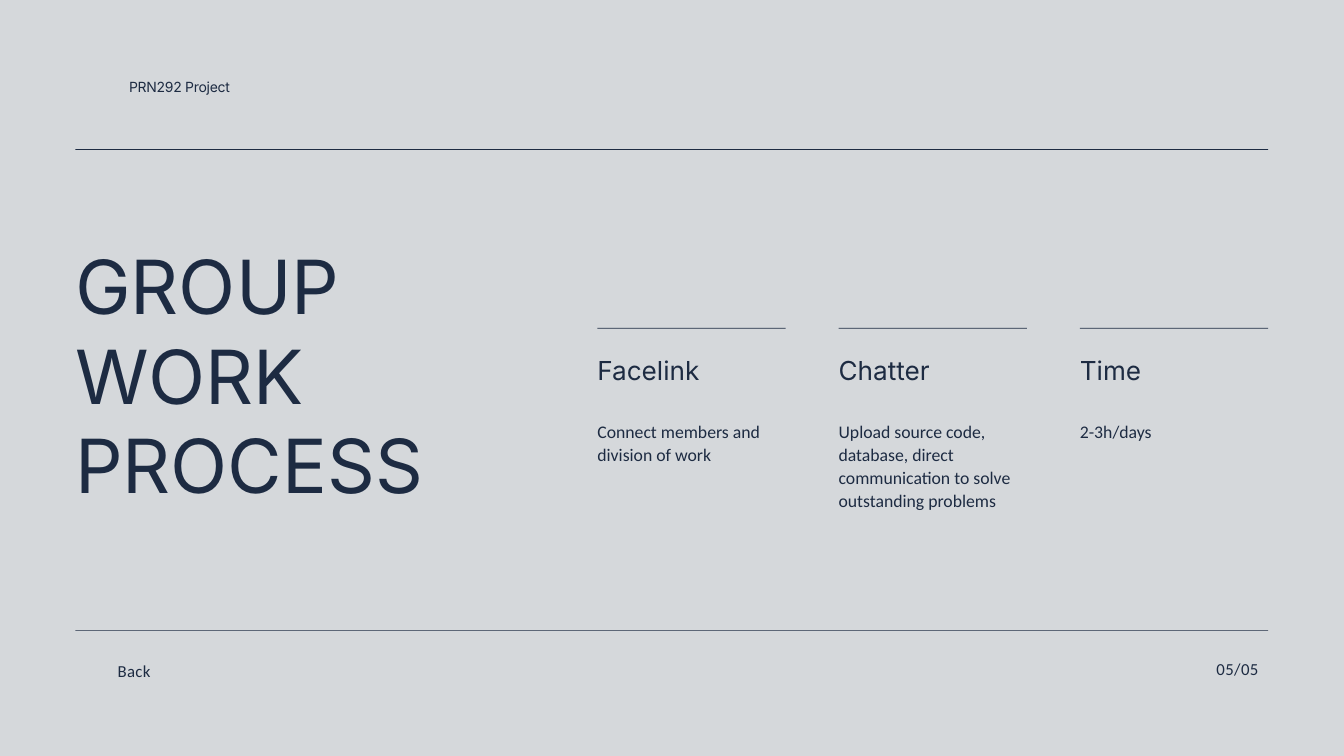
from pptx import Presentation
from pptx import util as u
from pptx.dml import color
from pptx.enum import shapes, text

INK = "1D2B42"
PAPER = "D5D8DB"
LEFT, FULL_WIDTH = 1.12, 17.75


def rgb(value):
    return color.RGBColor.from_string(value)


class Deck:
    """Holds the style and the current slide."""

    def __init__(self, width, height):
        self.prs = Presentation()
        self.prs.slide_width = u.Inches(width)
        self.prs.slide_height = u.Inches(height)
        self.s = None

    def new_slide(self):
        self.s = self.prs.slides.add_slide(self.prs.slide_layouts[5])
        fill = self.s.background.fill
        fill.solid()
        fill.fore_color.rgb = rgb(PAPER)

    def rule(self, left, top, width):
        """Draw a hairline bar."""
        sp = self.s.shapes.add_shape(
            shapes.MSO_SHAPE.RECTANGLE, u.Inches(left), u.Inches(top),
            u.Inches(width), u.Inches(0.01))
        sp.shadow.inherit = False
        sp.fill.solid()
        sp.fill.fore_color.rgb = rgb(INK)
        sp.line.fill.background()

    def set_text(self, sp, lines, font, size, leading, align, tracking=0):
        """Fill a shape with text, one paragraph for each line."""
        tf = sp.text_frame
        tf.word_wrap = True
        tf.auto_size = text.MSO_AUTO_SIZE.NONE
        tf.vertical_anchor = text.MSO_ANCHOR.TOP
        tf.margin_left = tf.margin_right = tf.margin_top = tf.margin_bottom = 0
        for i, line in enumerate(lines):
            p = tf.add_paragraph() if i else tf.paragraphs[0]
            p.alignment = align
            p.line_spacing = u.Pt(leading)
            r = p.add_run()
            r.text = line
            r.font.name = font
            r.font.size = u.Pt(size)
            r.font.color.rgb = rgb(INK)
            if tracking:
                r._r.get_or_add_rPr().set("spc", str(round(tracking * 100)))

    def title(self, box, lines, font, size, leading):
        sp = self.s.shapes.title
        sp.left, sp.top, sp.width, sp.height = map(u.Inches, box)
        self.set_text(sp, lines, font, size, leading, text.PP_ALIGN.LEFT)

    def label(self, box, line, font, size, leading,
              align=text.PP_ALIGN.LEFT, tracking=0):
        sp = self.s.shapes.add_textbox(*map(u.Inches, box))
        self.set_text(sp, [line], font, size, leading, align, tracking)


def main():
    deck = Deck(20, 11.25)
    deck.new_slide()

    # Header and footer rules
    for top in (9.38, 2.22):
        deck.rule(LEFT, top, FULL_WIDTH)

    # Three columns: rule, heading, description
    columns = [
        ("Facelink", "Connect members and division of work", 0.66),
        ("Chatter", "Upload source code, database, direct communication "
                    "to solve outstanding problems", 1.32),
        ("Time", "2-3h/days", 0.32),
    ]
    first, step, width = 8.89, 3.59, 2.8
    for i, (heading, body, height) in enumerate(columns):
        x = first + i * step
        deck.rule(x, 4.88, width)
        deck.label((x, 6.24, width, height), body, "Calibri", 19, 24.7)
        deck.label((x, 5.28, width, 0.47), heading, "Inter", 28, 33.6)

    # Title
    deck.title((LEFT, 3.57, 5.83, 4.02), ["GROUP WORK", "PROCESS"],
               "Inter", 80, 96)

    # Page number, back label and project name
    deck.label((17.96, 9.75, 0.91, 0.34), "05/05", "Calibri", 18, 25.2,
               text.PP_ALIGN.CENTER, 0.4)
    deck.label((1.75, 9.78, 4.21, 0.34), "Back", "Calibri", 18, 25.2,
               text.PP_ALIGN.JUSTIFY, 0.4)
    deck.label((1.92, 1.13, 1.68, 0.29), "PRN292 Project", "Inter", 15, 21,
               tracking=-0.3)

    deck.prs.save("out.pptx")


if __name__ == "__main__":
    main()
